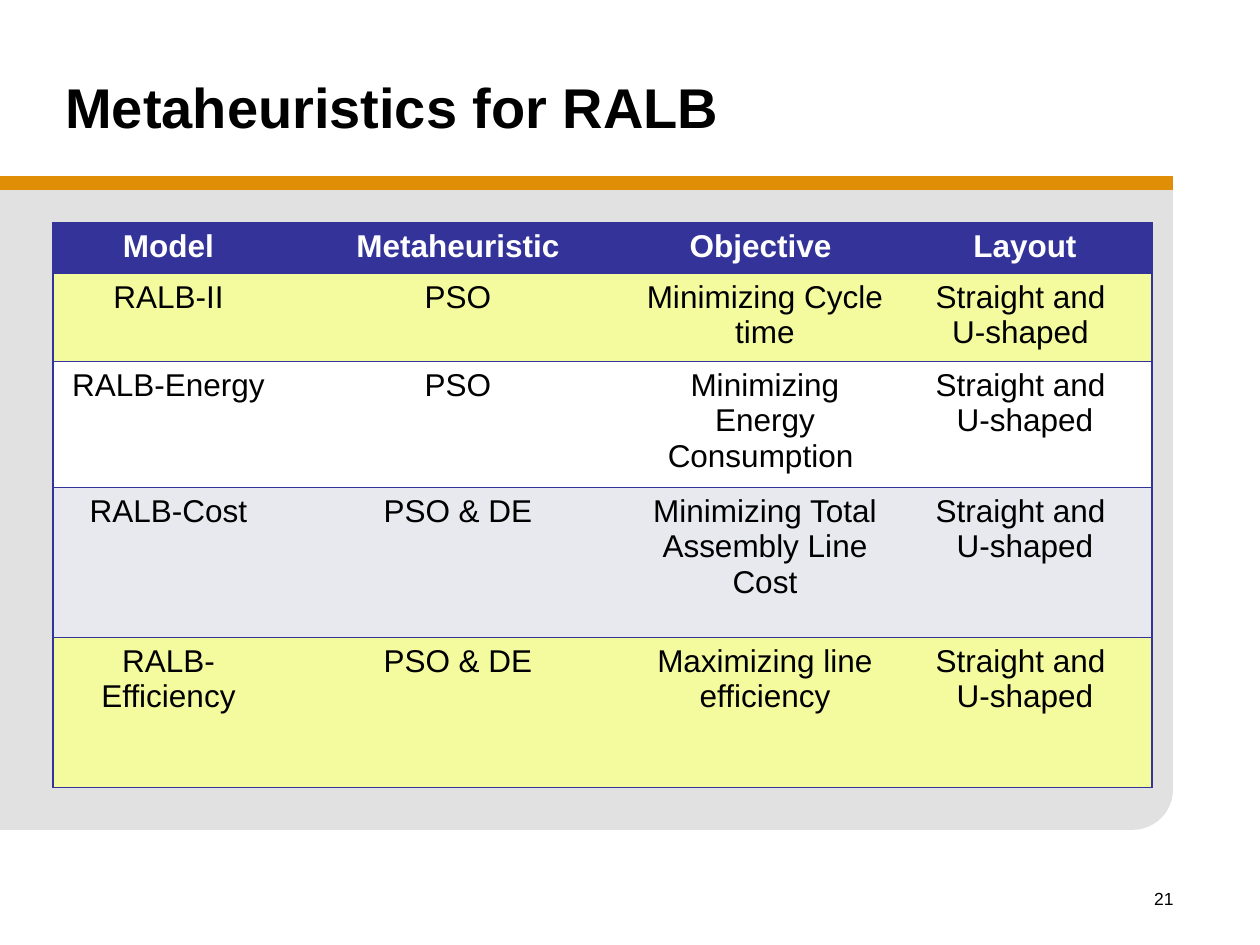
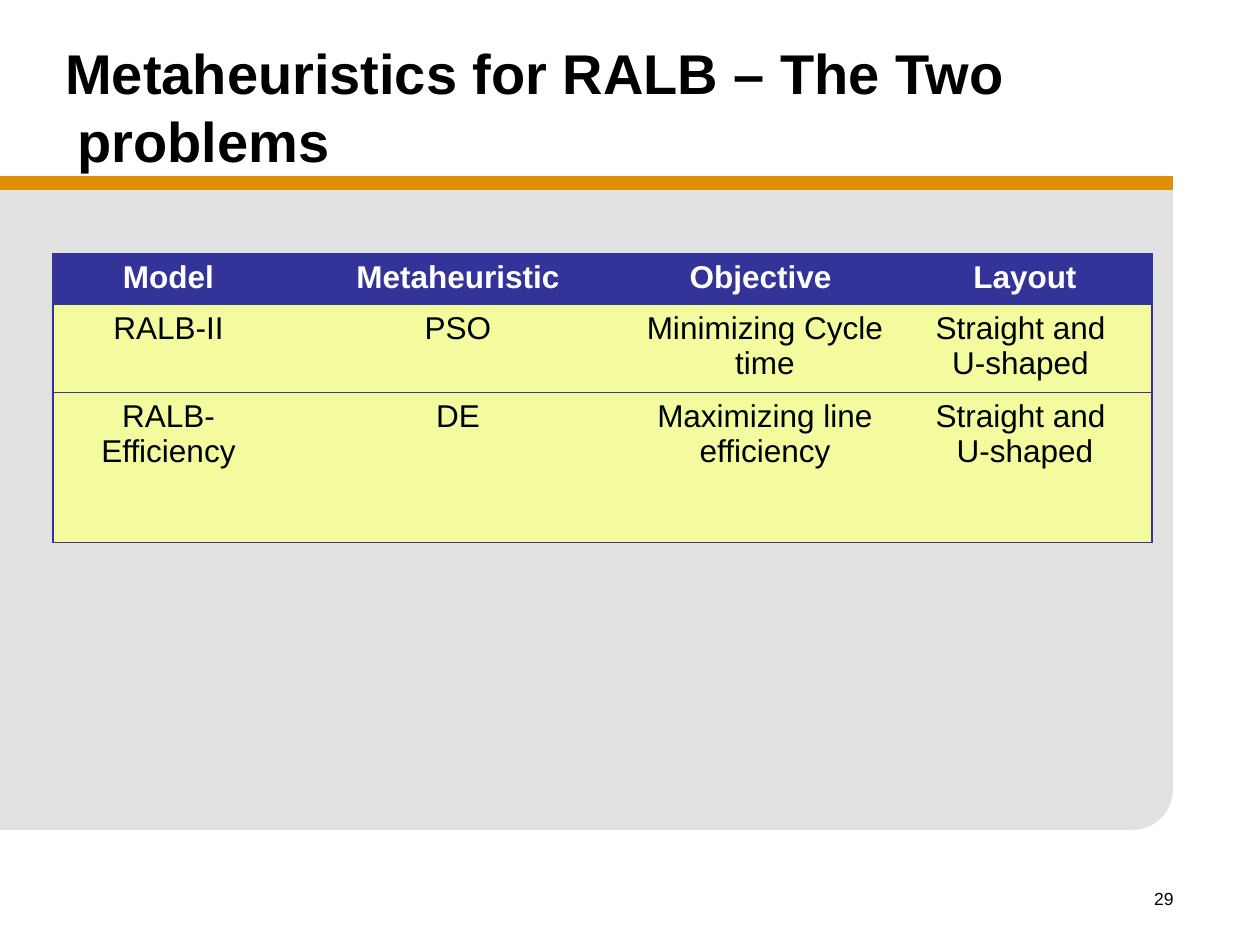
from lxml import etree
from pptx import Presentation
from pptx.dml.color import RGBColor
from pptx.enum.shapes import MSO_CONNECTOR, MSO_SHAPE
from pptx.enum.text import MSO_ANCHOR, PP_ALIGN
from pptx.oxml.ns import qn
from pptx.util import Pt

EMU_PER_PX = 914400 / 126
FONT = "Arial"
BLACK, WHITE = "000000", "FFFFFF"
PANEL, ORANGE = "E1E1E1", "DF8E05"
NAVY, YELLOW, LILAC = "333399", "F4FB9F", "E8E8EF"

COL_WIDTHS = [231, 348, 266, 254]
HEADER = (47, NAVY, ["Model", "Metaheuristic", "Objective ", "Layout"])
LAYOUTS = "Straight and \nU-shaped"
CYCLE_TIME = (81, YELLOW, ["RALB-II", "PSO", "Minimizing Cycle time", LAYOUTS + " "])
ENERGY = (115, WHITE, ["RALB-Energy", "PSO", "Minimizing Energy Consumption ", LAYOUTS])
COST = (150, LILAC, ["RALB-Cost", "PSO & DE", "Minimizing Total Assembly Line Cost", LAYOUTS])


def efficiency(method):
    """Return the line efficiency row for the given metaheuristic."""
    return 150, YELLOW, ["RALB-Efficiency", method, "Maximizing line efficiency", LAYOUTS]


def px(*values):
    """Turn pixel lengths into a list of EMU lengths."""
    return [round(v * EMU_PER_PX) for v in values]


def rgb(hex_color):
    """Turn a hex string into a colour."""
    return RGBColor.from_string(hex_color)


def write(tf, text, size=18, color=BLACK, bold=False, align=PP_ALIGN.LEFT,
          anchor=MSO_ANCHOR.TOP, hanging=0):
    """Fill a text frame with one formatted paragraph per line of text."""
    tf.word_wrap = True
    tf.vertical_anchor = anchor
    for i, line in enumerate(text.split("\n")):
        p = tf.paragraphs[0] if i == 0 else tf.add_paragraph()
        p.alignment = align
        if hanging:
            indent, = px(hanging)
            pPr = p._p.get_or_add_pPr()
            pPr.set("marL", str(indent))
            pPr.set("indent", str(-indent))
        r = p.add_run()
        r.text = line
        r.font.name, r.font.size, r.font.bold = FONT, Pt(size), bold
        r.font.color.rgb = rgb(color)


def add_text(s, box, text, **fmt):
    """Add a text box."""
    write(s.shapes.add_textbox(*px(*box)).text_frame, text, **fmt)


def add_panel(s, kind, box):
    """Add one plain piece of the grey background panel."""
    sp = s.shapes.add_shape(kind, *px(*box))
    sp.shadow.inherit = False
    sp.fill.solid()
    sp.fill.fore_color.rgb = rgb(PANEL)
    sp.line.fill.background()


def add_rule(s, x1, y1, x2, y2):
    """Add the thick orange rule."""
    line = s.shapes.add_connector(MSO_CONNECTOR.STRAIGHT, *px(x1, y1, x2, y2))
    line.line.color.rgb = rgb(ORANGE)
    line.line.width = Pt(8)
    etree.SubElement(line._element.spPr, qn("a:effectLst"))


def set_borders(cell, visible):
    """Draw navy borders on the visible sides and clear the others."""
    tcPr = cell._tc.get_or_add_tcPr()
    for side in "LRTB":
        ln = etree.SubElement(tcPr, qn(f"a:ln{side}"), w=str(Pt(1)))
        if side in visible:
            fill = etree.SubElement(ln, qn("a:solidFill"))
            etree.SubElement(fill, qn("a:srgbClr"), val=NAVY)
        else:
            etree.SubElement(ln, qn("a:noFill"))


def add_model_table(s, top, rows):
    """Add the table of models under its header row."""
    rows = [HEADER, *rows]
    size = sum(COL_WIDTHS), sum(height for height, _, _ in rows)
    table = s.shapes.add_table(len(rows), len(COL_WIDTHS), *px(53, top, *size)).table
    table.horz_banding = False
    for column, width in zip(table.columns, px(*COL_WIDTHS)):
        column.width = width
    last = len(COL_WIDTHS) - 1
    for i, (height, fill, texts) in enumerate(rows):
        table.rows[i].height, = px(height)
        for j, text in enumerate(texts):
            cell = table.cell(i, j)
            set_borders(cell, "TB" + {0: "L", last: "R"}.get(j, ""))
            cell.fill.solid()
            cell.fill.fore_color.rgb = rgb(fill)
            write(cell.text_frame, text, color=BLACK if i else WHITE,
                  bold=i == 0, align=PP_ALIGN.CENTER)


def add_slide(prs, title, number):
    """Add a slide with the shared panel, rule, title and page number."""
    s = prs.slides.add_slide(prs.slide_layouts[6])
    add_panel(s, MSO_SHAPE.RECTANGLE, (0, 188, 1173, 549))
    add_panel(s, MSO_SHAPE.ROUNDED_RECTANGLE, (420, 588, 753, 242))
    add_panel(s, MSO_SHAPE.RECTANGLE, (0, 345, 522, 485))
    add_rule(s, 0, 183, 1173, 183)
    add_text(s, (924, 882, 262, 63), number, size=10, align=PP_ALIGN.RIGHT)
    add_text(s, (53, 21, 1134, 170), title, size=32, bold=True,
             anchor=MSO_ANCHOR.MIDDLE, hanging=12)
    return s


def main():
    """Build and save the slides."""
    prs = Presentation()
    prs.slide_width, prs.slide_height = px(1260, 945)
    s = add_slide(prs, "Metaheuristics for RALB", "21")
    add_model_table(s, 223, [CYCLE_TIME, ENERGY, COST, efficiency("PSO & DE")])
    s = add_slide(prs, "Metaheuristics for RALB – The Two problems", "29")
    add_model_table(s, 254, [CYCLE_TIME, efficiency("DE")])
    prs.save("out.pptx")


if __name__ == "__main__":
    main()
